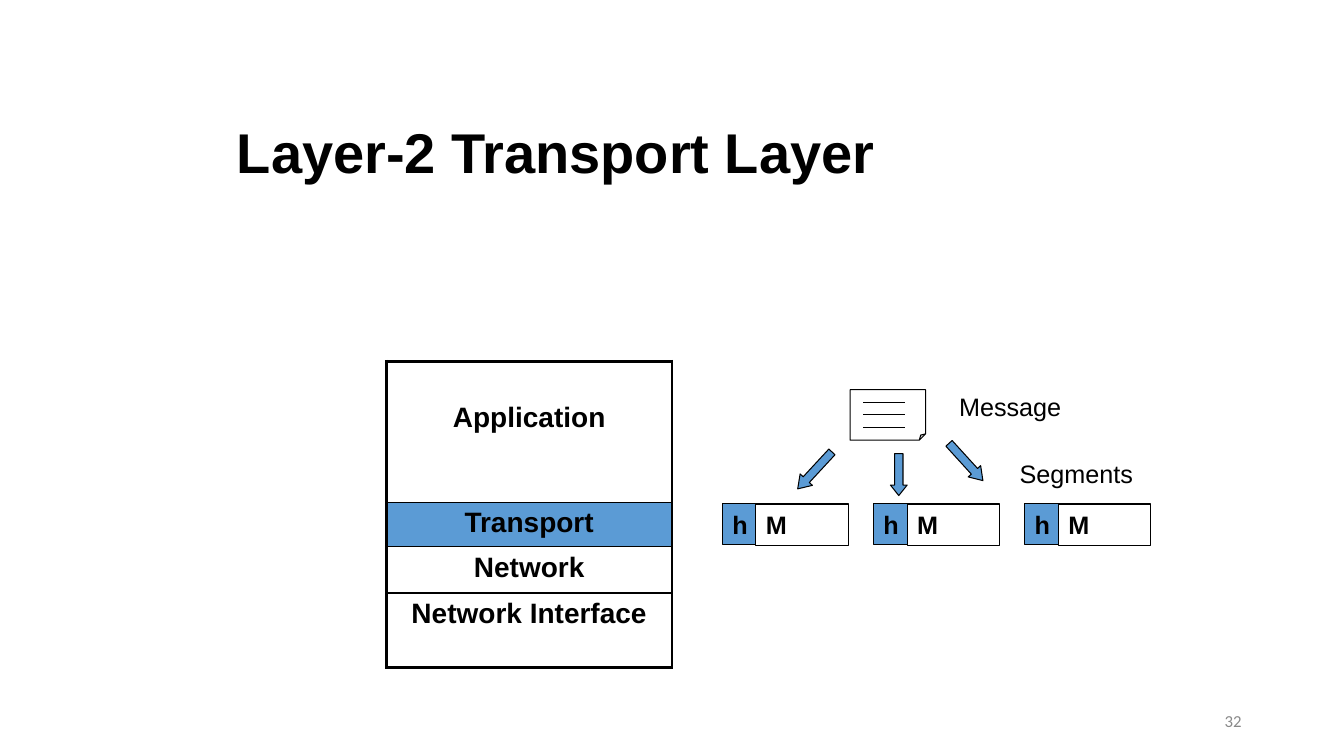
from lxml import etree
from pptx import Presentation
from pptx import util as u
from pptx.dml.color import RGBColor
from pptx.enum import shapes, text
from pptx.oxml import ns

COLORS = {"ink": "000000", "accent": "5B9BD5", "paper": "FFFFFF", "muted": "898989"}
COLUMNS, ROWS = 80, 45
CELL = u.Inches(7.5) / ROWS


def grid(*lengths):
    return [u.Emu(round(length * CELL)) for length in lengths]


def color(name):
    return RGBColor.from_string(COLORS[name])


def write(frame, words, size, bold=False, ink="ink", font="Arial",
          align=text.PP_ALIGN.LEFT):
    para = frame.paragraphs[0]
    para.alignment = align
    span = para.add_run()
    span.text = words
    span.font.name = font
    span.font.size = u.Pt(size)
    span.font.bold = bold
    span.font.color.rgb = color(ink)
    return para


def add_title(page, words, place):
    title = page.shapes.title
    title.left, title.top, title.width, title.height = grid(*place)
    title.text_frame.vertical_anchor = text.MSO_ANCHOR.MIDDLE
    title.text_frame.auto_size = text.MSO_AUTO_SIZE.NONE
    write(title.text_frame, words, 40, bold=True).line_spacing = 0.9


def add_label(page, words, place, size=18, wrap=False, **style):
    box = page.shapes.add_textbox(*grid(*place))
    box.text_frame.word_wrap = wrap
    box.text_frame.vertical_anchor = text.MSO_ANCHOR.MIDDLE
    write(box.text_frame, words, size, **style)


def add_figure(parent, kind, place, fill):
    figure = parent.shapes.add_shape(kind, *grid(*place))
    figure.shadow.inherit = False
    figure.fill.solid()
    figure.fill.fore_color.rgb = color(fill)
    figure.line.color.rgb = color("ink")
    figure.line.width = u.Pt(0.75)
    return figure


def add_rule(parent, left, right, row):
    rule = parent.shapes.add_connector(
        shapes.MSO_CONNECTOR.STRAIGHT, *grid(left, row, right, row))
    rule.line.color.rgb = color("ink")
    rule.line.width = u.Pt(0.75)
    etree.SubElement(rule._element.spPr, ns.qn("a:effectLst"))


def add_arrow(page, place, head, turn=0):
    arrow = add_figure(page, shapes.MSO_SHAPE.DOWN_ARROW, place, "accent")
    arrow.adjustments[0] = 0.5
    arrow.adjustments[1] = head
    arrow.rotation = turn


def add_message(page, left, top):
    message = page.shapes.add_group_shape()
    sheet = add_figure(message, shapes.MSO_SHAPE.FOLDED_CORNER,
                       (left, top, 4.5, 3), "paper")
    fold = sheet._element.spPr.find(f".//{ns.qn('a:avLst')}")
    etree.SubElement(fold, ns.qn("a:gd"), name="adj", fmla="val 12500")
    for line in range(3):
        add_rule(message, left + 0.8, left + 3.3, top + 0.75 * (line + 1))


def add_segment(page, left, top):
    segment = page.shapes.add_group_shape()
    parts = (("h", 0, 2.15, 2.4, "accent"), ("M", 2, 5.5, 2.45, "paper"))
    for words, shift, width, height, fill in parts:
        part = add_figure(segment, shapes.MSO_SHAPE.RECTANGLE,
                          (left + shift, top, width, height), fill)
        part.text_frame.word_wrap = fill == "paper"
        write(part.text_frame, words, 18, bold=True)


def add_borders(cell, widths):
    properties = cell._tc.get_or_add_tcPr()
    for index, (side, width) in enumerate(zip("LRTB", widths)):
        border = etree.Element(ns.qn(f"a:ln{side}"), w=str(u.Pt(width)))
        paint = etree.SubElement(border, ns.qn("a:solidFill"))
        etree.SubElement(paint, ns.qn("a:srgbClr"), val=COLORS["ink"])
        properties.insert(index, border)


def add_layers(page, left, top, width, layers):
    total = sum(height for _, height, _, _ in layers)
    table = page.shapes.add_table(
        len(layers), 1, *grid(left, top, width, total)).table
    table.first_row = table.horz_banding = False
    last = len(layers) - 1
    for index, (words, height, fill, inset) in enumerate(layers):
        table.rows[index].height = grid(height)[0]
        cell = table.cell(index, 0)
        cell.margin_top = u.Inches(inset)
        cell.fill.solid()
        cell.fill.fore_color.rgb = color(fill)
        write(cell.text_frame, words, 20, bold=True, align=text.PP_ALIGN.CENTER)
        add_borders(cell, (2.25, 2.25, 2.25 if index == 0 else 1,
                           2.25 if index == last else 1))


def main():
    deck = Presentation()
    deck.slide_width, deck.slide_height = grid(COLUMNS, ROWS)
    page = deck.slides.add_slide(deck.slide_layouts[5])
    add_label(page, "32", (56.5, 41.7, 18, 2.4), 12, wrap=True, ink="muted",
              font="Calibri", align=text.PP_ALIGN.RIGHT)
    add_title(page, "Layer-2 Transport Layer", (13.5, 5.5, 45.5, 7.5))
    add_layers(page, 23, 21.5, 17, (
        ("Application", 8.4, "paper", 0.41),
        ("Transport", 2.64, "accent", 0.05),
        ("Network", 2.76, "paper", 0.05),
        ("Network Interface", 4.44, "paper", 0.05),
    ))
    add_message(page, 50.6, 23.2)
    add_label(page, "Message", (56.5, 23, 7.4, 2.4))
    add_label(page, "Segments", (60.1, 27, 8, 2.4))
    for index in range(3):
        add_segment(page, 43 + 9 * index, 30)
    add_arrow(page, (48, 26.5, 1, 3), 0.75, 42.8)
    add_arrow(page, (53, 27, 1, 2.5), 0.625)
    add_arrow(page, (57, 26, 1, 3), 0.75, 317.7)
    deck.save("out.pptx")


if __name__ == "__main__":
    main()
